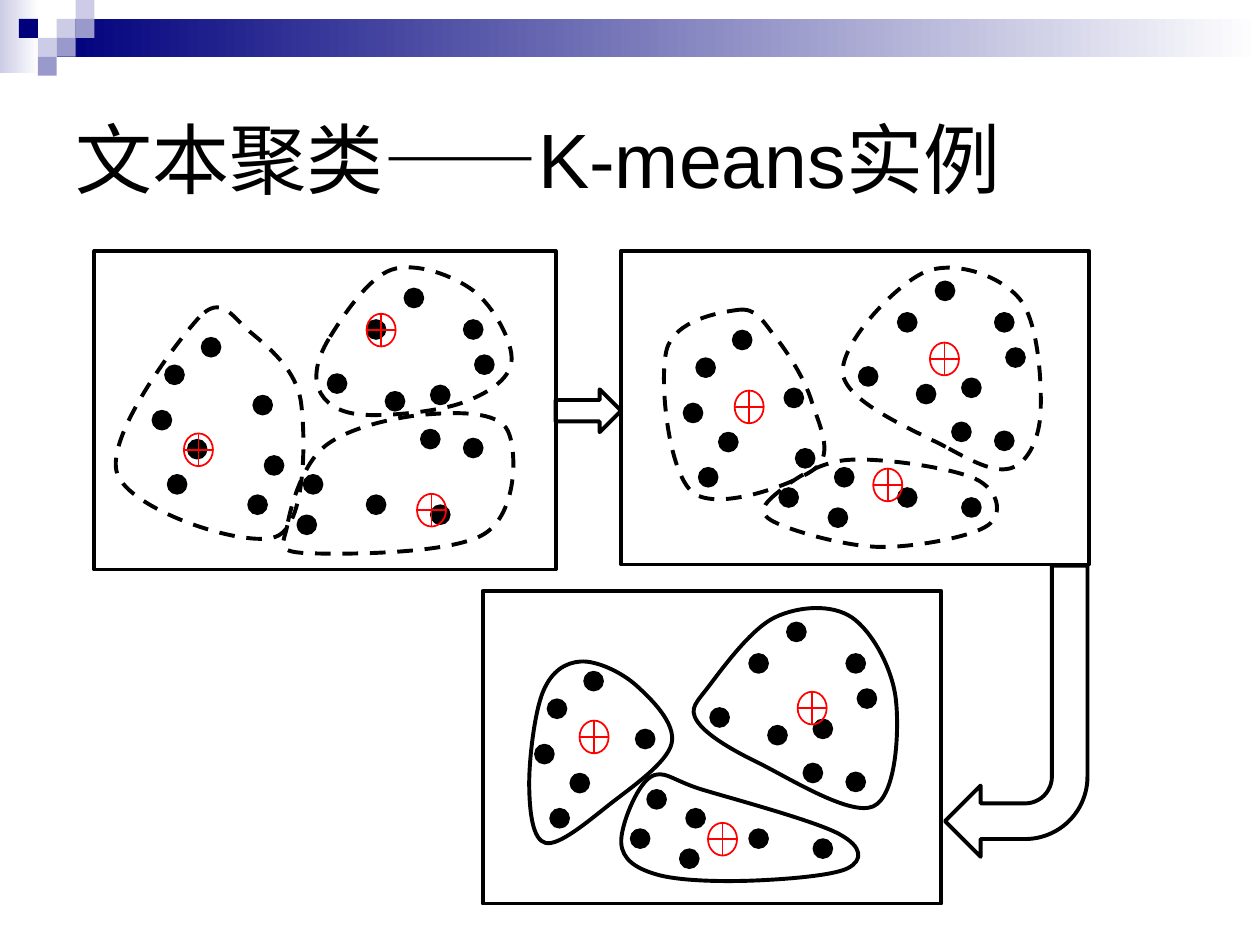
from lxml.etree import SubElement
from pptx import Presentation
from pptx.dml.color import RGBColor
from pptx.enum.dml import MSO_LINE
from pptx.enum.shapes import MSO_SHAPE
from pptx.enum.text import MSO_ANCHOR, PP_ALIGN
from pptx.oxml.ns import qn
from pptx.util import Pt

BLACK = RGBColor(0, 0, 0)
WHITE = RGBColor(255, 255, 255)
RED = RGBColor(255, 0, 0)
NAVY = RGBColor(0x00, 0x00, 0x7D)
LILAC = RGBColor(0xCC, 0xCC, 0xE6)
VIOLET = RGBColor(0x99, 0x99, 0xCC)

TITLE = "文本聚类——K-means实例"
BANDS = [((0, 0, 22.3, 41.8), LILAC), ((32.4, 10.8, 687.6, 21.6), NAVY)]
CELL = 10.8
CELLS = [
    (3, 1, LILAC), (4, 0, LILAC), (4, 1, VIOLET), (2, 2, LILAC),
    (1, 1, NAVY), (3, 2, VIOLET), (2, 3, VIOLET),
]

DOT_SIZE = 10.8
DOTS = [
    (115.2, 193), (94.3, 208.8), (87.1, 234.7), (246.2, 220.3), (107.3, 251.3),
    (95.8, 271.4), (151.2, 260.6), (141.8, 283), (173.5, 271.4), (144.7, 226.1),
    (265, 250.6), (240.5, 245.5), (246.2, 288.7), (209.5, 283), (169.9, 294.5),
    (220.3, 223.9), (187.2, 213.8), (271.4, 203), (231.1, 164.9),
    (209.5, 182.9), (265, 182.9),
]
CENTROID_SIZE = (16.6, 18.7)
STEPS = [
    {
        "frame": (54, 143.3, 263.5, 182.2),
        "dot_shift": (0, 0),
        "dashed": True,
        "centroids": [(105.1, 247.7), (238.3, 282.2), (209.5, 179.3)],
        "clusters": [
            [(113.8, 181.4), (67, 270.7), (157.7, 306.7), (172.1, 230.4), (142.6, 189.4)],
            [(164.2, 300.2), (175, 316.1), (276.5, 305.3), (290.2, 246.2),
             (243.4, 236.9), (185.8, 254.9)],
            [(187.9, 193.7), (182.2, 222.5), (205.9, 236.9), (263.5, 230.4),
             (292.3, 206.6), (270.7, 166.3), (223.9, 154.1)],
        ],
    },
    {
        "frame": (355, 143.3, 267.1, 179.3),
        "dot_shift": (303.5, -4.1),
        "dashed": True,
        "centroids": [(419.8, 223.2), (499, 267.8), (531.4, 195.8)],
        "clusters": [
            [(421.9, 177.1), (442.8, 192.2), (463.7, 229), (465.8, 267.8),
             (396, 281.5), (380.9, 200.2)],
            [(443.5, 282.2), (442.1, 298.1), (502.6, 312.5), (564.5, 300.2),
             (557.3, 273.6), (484.6, 262.8)],
            [(542.2, 256.3), (578.9, 267.1), (594.7, 234.7), (582.5, 170.6),
             (528.5, 155.5), (481.7, 213.8)],
        ],
    },
    {
        "frame": (275.8, 337.7, 262.1, 178.6),
        "dot_shift": (218.6, 190.8),
        "dashed": False,
        "centroids": [(331.2, 411.8), (455.8, 395.3), (404.6, 470.2)],
        "clusters": [
            [(331.9, 378), (310.3, 395.3), (302.4, 449.3), (311.8, 481.7),
             (347.8, 460.1), (383.8, 424.8), (363.6, 391.7)],
            [(398.2, 411.8), (432.7, 435.6), (499, 460.8), (511.9, 399.6),
             (486.7, 352.8), (442.8, 352.8), (405.4, 391.7)],
            [(355, 481.7), (375.1, 499.7), (428.4, 503.3), (484.6, 496.1),
             (479.5, 476.6), (401.8, 451.4), (371.5, 444.2)],
        ],
    },
]
NEXT_ARROW = (317.5, 222.5, 37.4, 24.5)
TURN_ARROW = (540, 323.3, 81.4, 166.3)


def style(shape, fill=None, line=None, width=2.25):
    shape.shadow.inherit = False
    if fill is None:
        shape.fill.background()
    else:
        shape.fill.solid()
        shape.fill.fore_color.rgb = fill
    if line is None:
        shape.line.fill.background()
    else:
        shape.line.color.rgb = line
        shape.line.width = Pt(width)


def add_preset(slide, kind, box, **look):
    shape = slide.shapes.add_shape(kind, *(Pt(length) for length in box))
    style(shape, **look)
    return shape


def smooth_segments(knots):
    count = len(knots)
    segments = []
    for i in range(count):
        before, start, end, after = (knots[(i + k) % count] for k in (-1, 0, 1, 2))
        leave = tuple(s + (e - b) / 6 for b, s, e in zip(before, start, end))
        arrive = tuple(e - (a - s) / 6 for s, e, a in zip(start, end, after))
        segments.append((start, leave, arrive, end))
    return segments


def point_on(segment, t):
    weights = ((1 - t) ** 3, 3 * t * (1 - t) ** 2, 3 * t * t * (1 - t), t ** 3)
    return tuple(sum(w * point[axis] for w, point in zip(weights, segment)) for axis in (0, 1))


def add_cluster(slide, knots, dashed):
    segments = smooth_segments(knots)
    outline = [
        tuple(Pt(value) for value in point_on(segment, step / 12))
        for segment in segments for step in range(12)
    ]
    builder = slide.shapes.build_freeform(*outline[0])
    builder.add_line_segments(outline[1:], close=True)
    shape = builder.convert_to_shape()
    style(shape, line=BLACK)
    if dashed:
        shape.line.dash_style = MSO_LINE.DASH

    contour = next(shape._element.iter(qn("a:path")))
    for line in contour.findall(qn("a:lnTo")) + contour.findall(qn("a:close")):
        contour.remove(line)
    for segment in segments:
        curve = SubElement(contour, qn("a:cubicBezTo"))
        for x, y in segment[1:]:
            SubElement(curve, qn("a:pt"), x=str(Pt(x) - shape.left), y=str(Pt(y) - shape.top))
    SubElement(contour, qn("a:close"))


def add_step(slide, step):
    shift_x, shift_y = step["dot_shift"]
    for x, y in DOTS:
        add_preset(slide, MSO_SHAPE.OVAL, (x + shift_x, y + shift_y, DOT_SIZE, DOT_SIZE),
                   fill=BLACK, line=BLACK, width=1)
    for knots in step["clusters"]:
        add_cluster(slide, knots, step["dashed"])
    for corner in step["centroids"]:
        add_preset(slide, MSO_SHAPE.FLOWCHART_OR, corner + CENTROID_SIZE, line=RED, width=1)
    add_preset(slide, MSO_SHAPE.RECTANGLE, step["frame"], line=BLACK)


def add_decoration(slide):
    for box, color in BANDS:
        band = add_preset(slide, MSO_SHAPE.RECTANGLE, box)
        band.fill.gradient()
        band.fill.gradient_angle = 0
        for stop, shade in zip(band.fill.gradient_stops, (color, WHITE)):
            stop.color.rgb = shade
    for column, row, color in CELLS:
        add_preset(slide, MSO_SHAPE.RECTANGLE, (column * CELL, row * CELL, CELL, CELL), fill=color)


def add_title(slide):
    title = slide.shapes.title
    title.left, title.top, title.width, title.height = Pt(36), Pt(36), Pt(648), Pt(108)
    title.text_frame.vertical_anchor = MSO_ANCHOR.MIDDLE
    paragraph = title.text_frame.paragraphs[0]
    paragraph.alignment = PP_ALIGN.LEFT
    run = paragraph.add_run()
    run.text = TITLE
    run.font.name = "Arial"
    run.font.size = Pt(44)
    run.font.color.rgb = BLACK


def main():
    presentation = Presentation()
    presentation.slide_width, presentation.slide_height = Pt(720), Pt(540)
    slide = presentation.slides.add_slide(presentation.slide_layouts[5])
    add_decoration(slide)
    add_title(slide)
    for step in STEPS:
        add_step(slide, step)
    add_preset(slide, MSO_SHAPE.RIGHT_ARROW, NEXT_ARROW, line=BLACK)
    turn = add_preset(slide, MSO_SHAPE.BENT_ARROW, TURN_ARROW, fill=WHITE, line=BLACK)
    turn.rotation = 180
    presentation.save("out.pptx")


if __name__ == "__main__":
    main()
